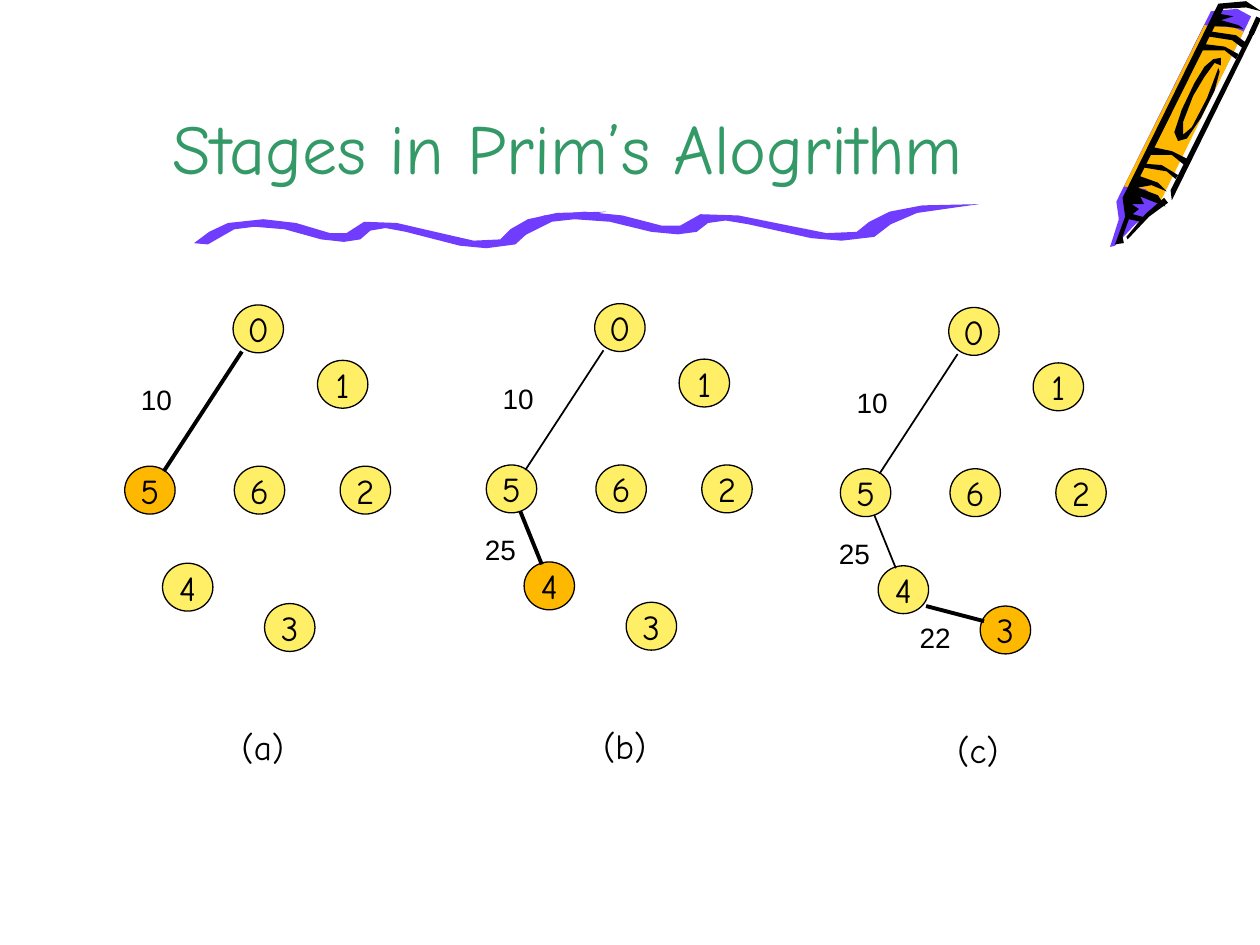
from dataclasses import dataclass

import pptx
import pptx.dml.color
import pptx.enum.shapes
import pptx.enum.text
import pptx.oxml
import pptx.oxml.ns
import pptx.util

PX = 9144  # EMU in one px, 100 px to the inch


@dataclass(frozen=True)
class Theme:
    heading: str = "339966"
    ink: str = "000000"
    node: str = "FFEF66"
    newest: str = "FFB800"
    purple: str = "703DFF"
    hand_font: str = "Comic Neue"
    weight_font: str = "Arial"
    title_size: int = 40
    node_size: int = 20
    weight_size: int = 16
    outline: float = 0.75
    edge: float = 1
    new_edge: float = 2.25
    crayon_line: float = 3


THEME = Theme()

NODE_EXTENT = (40, 38)
NODES = {
    "0": (185, 242), "5": (99, 370), "1": (252, 286), "6": (186, 370),
    "4": (129, 447), "3": (210, 479), "2": (270, 370),
}
# weight, start, end, left/top/width of the weight's label
EDGES = [
    ("10", (192, 279), (130, 374), (102, 299, 64)),
    ("25", (126, 407), (143, 449), (88, 419, 54)),
    ("22", (167, 479), (213, 491), (152, 486, 54)),
]
# caption, shift of the whole graph, newest node, number of edges chosen
STAGES = [
    ("(a)", (0, 0), "5", 1),
    ("(b)", (287, -1), "4", 2),
    ("(c)", (568, 2), "3", 3),
]

CRAYON = [
    (THEME.purple, [(993, 13), (917, 166), (901, 178), (885, 195), (881, 196), (888, 174),
                    (886, 160), (961, 9), (982, 7)]),
    (THEME.newest, [(921, 160), (909, 150), (892, 148), (956, 20), (979, 22), (987, 25)]),
    (THEME.ink, [(927, 161), (912, 172), (895, 190), (894, 188), (909, 170), (924, 157)]),
    (THEME.ink, [(987, 23), (973, 21), (961, 21), (968, 11), (979, 13), (969, 16), (983, 20)]),
    (THEME.ink, [(968, 57), (964, 72), (953, 94), (942, 110), (935, 112), (932, 105),
                 (938, 87), (948, 66), (956, 53), (963, 47), (969, 46), (969, 52), (964, 50),
                 (956, 61), (947, 76), (939, 97), (939, 107), (946, 101), (958, 78),
                 (967, 54)]),
    (THEME.ink, [(997, 23), (930, 159), (929, 151), (993, 23)]),
    (THEME.ink, [(925, 164), (919, 155), (903, 149), (914, 147), (926, 152), (919, 145),
                 (905, 140), (971, 7), (989, 6), (1001, 9), (989, 1), (967, 3), (891, 157),
                 (893, 172), (885, 194), (892, 193), (891, 188), (896, 174), (905, 176),
                 (910, 173), (899, 170), (904, 166), (898, 162), (908, 162), (905, 156)]),
    (THEME.ink, [(933, 142), (926, 136), (908, 133), (909, 130), (922, 131), (935, 139)]),
    (THEME.ink, [(940, 131), (930, 123), (913, 123), (916, 117), (930, 120), (942, 126)]),
    (THEME.ink, [(981, 47), (972, 40), (953, 40), (956, 35), (972, 37), (983, 43)]),
    (THEME.ink, [(986, 38), (978, 32), (959, 29), (961, 25), (981, 28), (989, 34)]),
]
CRAYON_EDGE = ((999, 14), (993, 27))

# Offsets from the left end and the top of the wave
WAVE = [
    (11, 26), (32, 14), (48, 12), (72, 14), (101, 22), (119, 24), (132, 22), (140, 15),
    (152, 13), (168, 16), (211, 27), (232, 29), (255, 26), (266, 16), (284, 7), (327, 0),
    (288, 1), (265, 6), (251, 14), (243, 22), (222, 23), (200, 18), (161, 9), (135, 8),
    (121, 17), (108, 17), (81, 9), (55, 6), (27, 9), (12, 16), (0, 25),
]
# left, top, horizontal stretch
WAVES = [(154, 168, 1), (401, 162, 1.15)]


def px(*lengths):
    return [round(length * PX) for length in lengths]


def colour(code):
    return pptx.dml.color.RGBColor.from_string(code)


def shifted(point, shift):
    return point[0] + shift[0], point[1] + shift[1]


def write(shape, text, *, font=THEME.hand_font, size=THEME.node_size, ink=THEME.ink,
          align="LEFT", anchor="TOP", wrap=True):
    frame = shape.text_frame
    frame.word_wrap = wrap
    frame.auto_size = pptx.enum.text.MSO_AUTO_SIZE.NONE
    frame.vertical_anchor = pptx.enum.text.MSO_ANCHOR[anchor]
    para = frame.paragraphs[0]
    para.alignment = pptx.enum.text.PP_ALIGN[align]
    span = para.add_run()
    span.text = text
    span.font.name = font
    span.font.size = pptx.util.Pt(size)
    span.font.color.rgb = colour(ink)


def add_title(page, text):
    title = page.shapes.title
    title.left, title.top, title.width, title.height = px(75, 0, 751, 155)
    write(title, text, size=THEME.title_size, ink=THEME.heading, align="CENTER",
          anchor="BOTTOM")


def add_outline(page, points, fill):
    builder = page.shapes.build_freeform(*points[0], scale=PX)
    builder.add_line_segments(points[1:], close=True)
    shape = builder.convert_to_shape()
    shape.shadow.inherit = False
    shape.fill.solid()
    shape.fill.fore_color.rgb = colour(fill)
    shape.line.fill.background()


def add_line(page, start, end, width):
    line = page.shapes.add_connector(
        pptx.enum.shapes.MSO_CONNECTOR.STRAIGHT, *px(*start, *end))
    line.line.color.rgb = colour(THEME.ink)
    line.line.width = pptx.util.Pt(width)
    properties = line._element.spPr
    properties.append(pptx.oxml.parse_xml(
        f"<a:effectLst {pptx.oxml.ns.nsdecls('a')}/>"))


def add_node(page, name, corner, fill):
    node = page.shapes.add_shape(
        pptx.enum.shapes.MSO_SHAPE.OVAL, *px(*corner, *NODE_EXTENT))
    node.shadow.inherit = False
    node.fill.solid()
    node.fill.fore_color.rgb = colour(fill)
    node.line.color.rgb = colour(THEME.ink)
    node.line.width = pptx.util.Pt(THEME.outline)
    write(node, name, align="CENTER", anchor="MIDDLE", wrap=False)


def add_label(page, text, corner, extent, **style):
    box = page.shapes.add_textbox(*px(*corner, *extent))
    write(box, text, **style)


def add_decoration(page):
    for fill, points in CRAYON:
        add_outline(page, points, fill)
    add_line(page, *CRAYON_EDGE, THEME.crayon_line)
    for left, top, stretch in WAVES:
        points = [(left + x * stretch, top + y) for x, y in WAVE]
        add_outline(page, points, THEME.purple)


def add_stage(page, caption, shift, newest, edge_count):
    """Draw the graph with its first edges; the last of them is bold."""
    for name, corner in NODES.items():
        fill = THEME.newest if name == newest else THEME.node
        add_node(page, name, shifted(corner, shift), fill)
    add_label(page, caption, shifted((182, 571), shift), (65, 44))
    for number, (weight, start, end, label) in enumerate(EDGES[:edge_count], 1):
        width = THEME.new_edge if number == edge_count else THEME.edge
        add_line(page, shifted(start, shift), shifted(end, shift), width)
        left, top, label_width = label
        add_label(page, weight, shifted((left, top), shift), (label_width, 37),
                  font=THEME.weight_font, size=THEME.weight_size)


def main():
    deck = pptx.Presentation()
    deck.slide_width, deck.slide_height = px(1000, 750)
    page = deck.slides.add_slide(deck.slide_layouts[5])
    add_decoration(page)
    add_title(page, "Stages in Prim’s Alogrithm")
    for stage in STAGES:
        add_stage(page, *stage)
    deck.save("out.pptx")


if __name__ == "__main__":
    main()
